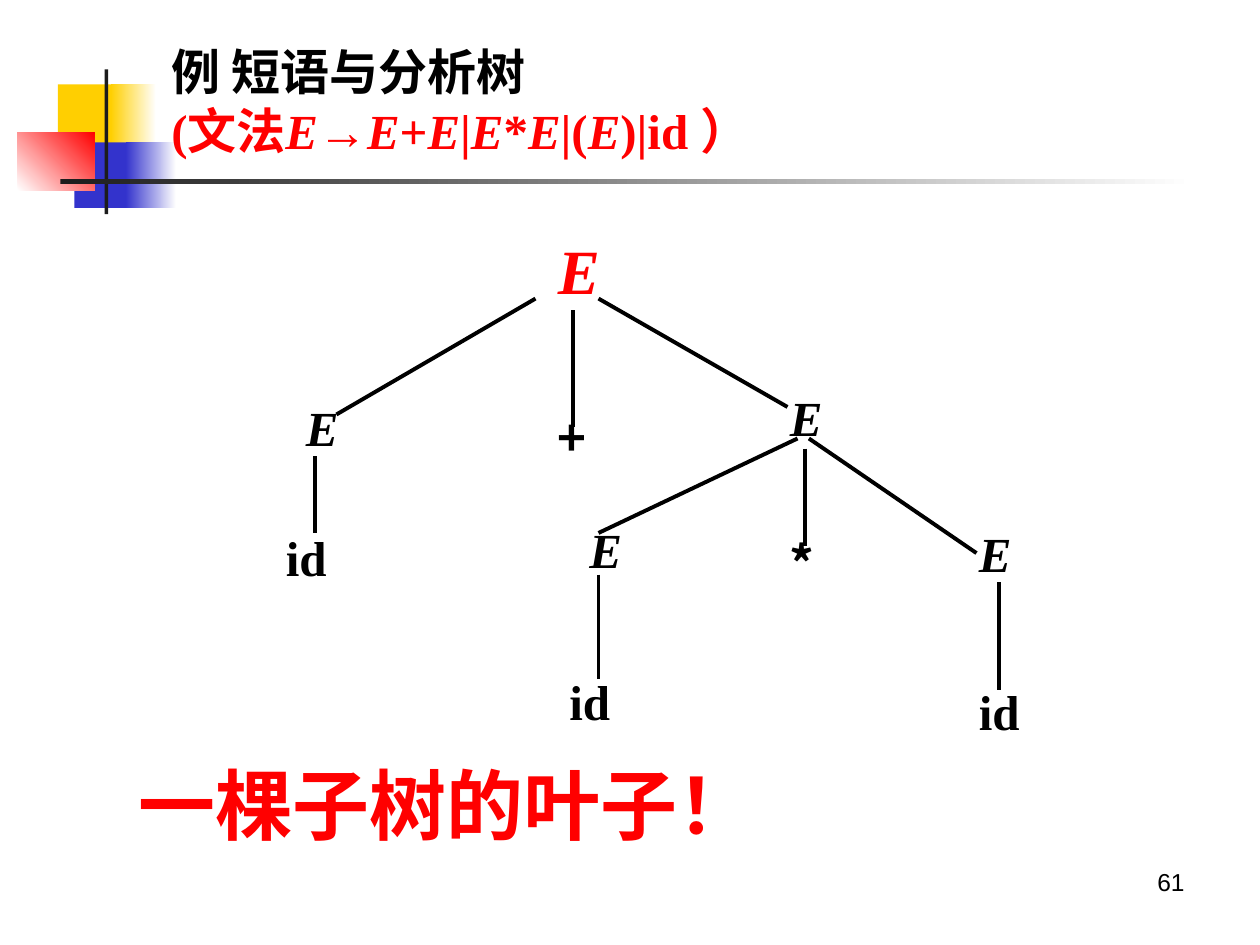
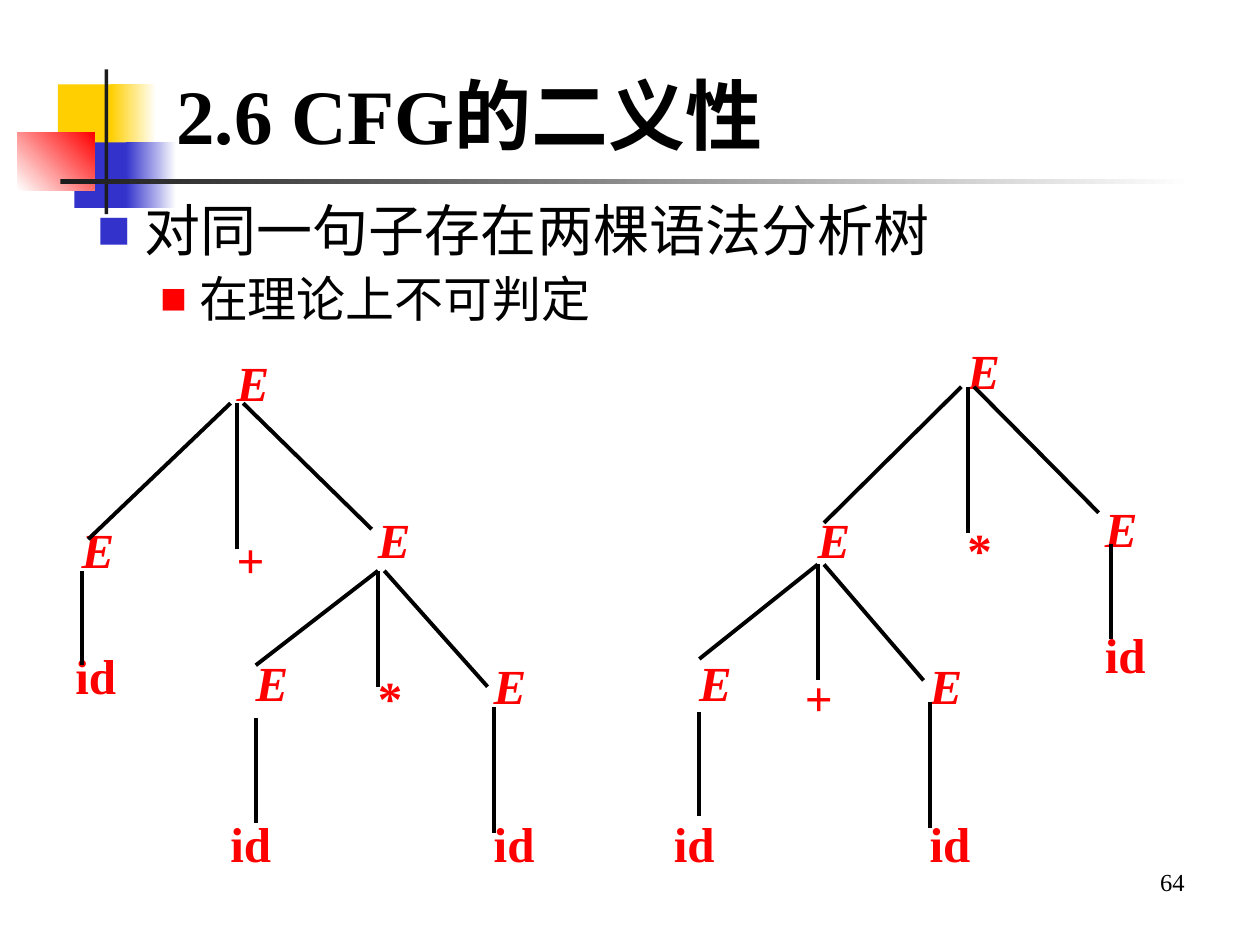
from dataclasses import dataclass
from typing import NamedTuple

from lxml import etree
from pptx import Presentation
from pptx.dml.color import RGBColor
from pptx.enum import shapes, text
from pptx.oxml.ns import qn
from pptx.util import Inches, Pt

SERIF, SANS, CJK = "Times New Roman", "Arial", "Noto Sans CJK SC"
BLACK, RED, BLUE, YELLOW = "000000", "FF0000", "3333CC", "FFCF01"
WHITE, CHARCOAL = "FFFFFF", "1C1C1C"


class Box(NamedTuple):
    left: float
    top: float
    width: float
    height: float

    def lengths(self) -> list:
        return [Inches(value) for value in self]


class Band(NamedTuple):
    box: Box
    start: str
    end: str = ""
    angle: int = 0


class Node(NamedTuple):
    label: str
    left: float
    top: float
    size: int = 28
    color: str = ""


class Branch(NamedTuple):
    x1: float
    y1: float
    x2: float
    y2: float


@dataclass
class Tree:
    nodes: list[Node]
    branches: list[Branch]
    label_width: float
    color: str
    operator_font: str = SERIF


BANDS = [
    Band(Box(0.46, 0.67, 0.48, 0.52), YELLOW),
    Band(Box(0.88, 0.67, 0.36, 0.52), YELLOW, WHITE),
    Band(Box(0.59, 1.13, 0.46, 0.52), BLUE),
    Band(Box(1, 1.13, 0.4, 0.52), BLUE, WHITE),
    Band(Box(0.14, 1.05, 0.61, 0.46), WHITE, RED, 45),
    Band(Box(0.83, 0.55, 0.03, 1.15), CHARCOAL),
    Band(Box(0.48, 1.42, 9, 0.04), CHARCOAL, WHITE),
]

PHRASE_TREE = Tree(
    nodes=[
        Node("E", 4.33, 1.73, 36, RED),
        Node("E", 2.33, 3.06), Node("+", 4.33, 3.14), Node("E", 6.17, 2.98),
        Node("id", 2.17, 4.09),
        Node("E", 4.58, 4.03), Node("*", 6.17, 4.14), Node("E", 7.67, 4.06),
        Node("id", 4.42, 5.23), Node("id", 7.67, 5.31),
    ],
    branches=[
        Branch(2.67, 3.29, 4.25, 2.37), Branch(4.55, 3.39, 4.55, 2.46),
        Branch(6.25, 3.23, 4.75, 2.37), Branch(2.5, 4.23, 2.5, 3.62),
        Branch(4.75, 4.23, 6.33, 3.48), Branch(6.39, 3.56, 6.39, 4.33),
        Branch(6.42, 3.48, 7.75, 4.39), Branch(4.75, 4.56, 4.75, 5.39),
        Branch(7.93, 4.62, 7.93, 5.48),
    ],
    label_width=1.25, color=BLACK, operator_font=CJK,
)

SUM_FIRST_TREE = Tree(
    nodes=[
        Node("E", 1.78, 2.7),
        Node("E", 0.55, 4.03), Node("+", 1.78, 4.11), Node("E", 2.9, 3.95),
        Node("id", 0.5, 5.03),
        Node("E", 1.93, 5.08), Node("*", 2.9, 5.2), Node("E", 3.82, 5.11),
        Node("id", 1.73, 6.36), Node("id", 3.82, 6.36),
    ],
    branches=[
        Branch(0.7, 4.28, 1.83, 3.2), Branch(1.88, 4.36, 1.88, 3.2),
        Branch(2.95, 4.2, 1.93, 3.2), Branch(0.65, 5.28, 0.65, 4.53),
        Branch(2.03, 5.28, 3, 4.53), Branch(3, 4.53, 3, 5.45),
        Branch(3.05, 4.53, 3.87, 5.45), Branch(2.03, 5.7, 2.03, 6.53),
        Branch(3.92, 5.61, 3.92, 6.61),
    ],
    label_width=0.77, color=RED,
)

PRODUCT_FIRST_TREE = Tree(
    nodes=[
        Node("E", 7.58, 2.61),
        Node("E", 6.39, 3.95), Node("*", 7.58, 4.03), Node("E", 8.67, 3.86),
        Node("id", 8.67, 4.86),
        Node("E", 5.45, 5.08), Node("+", 6.29, 5.2), Node("E", 7.28, 5.11),
        Node("id", 5.25, 6.36), Node("id", 7.28, 6.36),
    ],
    branches=[
        Branch(6.54, 4.15, 7.63, 3.07), Branch(7.68, 4.23, 7.68, 3.07),
        Branch(8.72, 4.07, 7.73, 3.07), Branch(8.82, 5.07, 8.82, 4.32),
        Branch(5.55, 5.23, 6.49, 4.48), Branch(6.49, 4.48, 6.49, 5.4),
        Branch(6.54, 4.48, 7.33, 5.4), Branch(5.55, 5.65, 5.55, 6.48),
        Branch(7.38, 5.57, 7.38, 6.57),
    ],
    label_width=0.74, color=RED,
)


def rgb(color: str) -> RGBColor:
    return RGBColor.from_string(color)


def style_run(run, size: float, color: str, font: str = SERIF,
              bold: bool = True, italic: bool = False) -> None:
    run.font.size = Pt(size)
    run.font.bold, run.font.italic = bold, italic
    run.font.color.rgb = rgb(color)
    run.font.name = font
    latin = run.font._element.find(qn("a:latin"))
    east_asian = etree.Element(qn("a:ea"), typeface=CJK)
    latin.addnext(east_asian)


def add_bands_to_master(deck, slide) -> None:
    """Draw the corner blocks and rules, then move them behind the master's text."""
    tree = deck.slide_master.shapes._spTree
    for index, band in enumerate(BANDS):
        block = slide.shapes.add_shape(shapes.MSO_SHAPE.RECTANGLE, *band.box.lengths())
        block.shadow.inherit = False
        block.line.fill.background()
        if band.end:
            block.fill.gradient()
            block.fill.gradient_angle = band.angle
            for stop, color in zip(block.fill.gradient_stops, (band.start, band.end)):
                stop.color.rgb = rgb(color)
        else:
            block.fill.solid()
            block.fill.fore_color.rgb = rgb(band.start)
        block._element.nvSpPr.cNvPr.set("id", str(101 + index))
        tree.insert(2 + index, block._element)


def place(holder, box: Box, anchor) -> None:
    holder.left, holder.top, holder.width, holder.height = box.lengths()
    frame = holder.text_frame
    frame.auto_size = text.MSO_AUTO_SIZE.NONE
    frame.vertical_anchor = anchor
    frame.word_wrap = True


def place_title(slide, box: Box):
    """Position the title placeholder and return its paragraph."""
    place(slide.shapes.title, box, text.MSO_ANCHOR.MIDDLE)
    paragraph = slide.shapes.title.text_frame.paragraphs[0]
    paragraph.alignment = text.PP_ALIGN.LEFT
    return paragraph


def add_label(slide, content: str, box: Box, size: float, color: str,
              font: str = SERIF, bold: bool = True, italic: bool = False):
    """Add a one-line text box and return its paragraph."""
    frame = slide.shapes.add_textbox(*box.lengths()).text_frame
    frame.word_wrap = True
    frame.text = content
    paragraph = frame.paragraphs[0]
    style_run(paragraph.runs[0], size, color, font, bold, italic)
    return paragraph


def add_page_number(slide, number: str, font: str) -> None:
    paragraph = add_label(slide, number, Box(7.17, 6.83, 2.33, 0.52), 14, BLACK,
                          font, bold=False)
    paragraph.alignment = text.PP_ALIGN.RIGHT


def draw_tree(slide, tree: Tree) -> None:
    for node in tree.nodes:
        height = 0.61 if node.size == 28 else 0.76
        font = tree.operator_font if node.label in "+*" else SERIF
        paragraph = add_label(slide, node.label,
                              Box(node.left, node.top, tree.label_width, height),
                              node.size, node.color or tree.color, font,
                              italic=node.label == "E")
        paragraph.line_spacing = 1.1
    for branch in tree.branches:
        line = slide.shapes.add_connector(shapes.MSO_CONNECTOR.STRAIGHT,
                                          *(Inches(value) for value in branch))
        line.line.color.rgb = rgb(BLACK)
        line.line.width = Pt(2.25)
        etree.SubElement(line._element.spPr, qn("a:effectLst"))


def set_bullet(paragraph, color: str, percent: int, margin: float, hanging: float) -> None:
    properties = paragraph._p.get_or_add_pPr()
    properties.set("marL", str(Inches(margin)))
    properties.set("indent", str(-Inches(hanging)))
    bullet_color = etree.SubElement(properties, qn("a:buClr"))
    etree.SubElement(bullet_color, qn("a:srgbClr"), val=color)
    etree.SubElement(properties, qn("a:buSzPct"), val=str(percent * 1000))
    etree.SubElement(properties, qn("a:buFont"), typeface=CJK)
    etree.SubElement(properties, qn("a:buChar"), char="■")


def build_phrase_slide(slide) -> None:
    title = place_title(slide, Box(1.26, 0.13, 6.5, 1.33))
    title.text = "例 短语与分析树\v"
    style_run(title.runs[0], 28, BLACK)
    line_break = title._p.find(qn("a:br"))
    etree.SubElement(line_break, qn("a:rPr"), sz="2800", b="1")
    for part in ("(文法", "E", "→", "E", "+", "E", "|", "E", "*", "E",
                 "|(", "E", ")|id ）"):
        run = title.add_run()
        run.text = part
        style_run(run, 28, RED, italic=part == "E")
    draw_tree(slide, PHRASE_TREE)
    conclusion = add_label(slide, "一棵子树的叶子！", Box(1, 5.89, 7.33, 0.91),
                           44, RED, CJK)
    conclusion.line_spacing = 1.1
    add_page_number(slide, "61", SANS)


def build_ambiguity_slide(slide) -> None:
    title = place_title(slide, Box(1.3, 0.28, 8.5, 1.25))
    title.text = "2.6 CFG的二义性"
    style_run(title.runs[0], 44, BLACK)

    body = slide.placeholders[1]
    place(body, Box(0.67, 1.56, 8.83, 1.17), text.MSO_ANCHOR.TOP)
    body.text_frame.text = "对同一句子存在两棵语法分析树\n在理论上不可判定"
    claim, remark = body.text_frame.paragraphs
    remark.level = 1
    for point, size, before in ((claim, 32, 0), (remark, 28, 7)):
        point.alignment = text.PP_ALIGN.JUSTIFY
        point.line_spacing = 0.9
        point.space_before = Pt(before)
        style_run(point.runs[0], size, BLACK, bold=False)
    set_bullet(claim, BLUE, 60, 0.38, 0.38)
    set_bullet(remark, RED, 55, 0.81, 0.31)

    for tree in (PRODUCT_FIRST_TREE, SUM_FIRST_TREE):
        draw_tree(slide, tree)
    add_page_number(slide, "64", SERIF)


def main() -> None:
    deck = Presentation()
    deck.slide_width, deck.slide_height = Inches(10), Inches(7.5)
    title_only, title_and_body = deck.slide_layouts[5], deck.slide_layouts[1]
    phrase_slide = deck.slides.add_slide(title_only)
    add_bands_to_master(deck, phrase_slide)
    build_phrase_slide(phrase_slide)
    build_ambiguity_slide(deck.slides.add_slide(title_and_body))
    deck.save("out.pptx")


if __name__ == "__main__":
    main()
